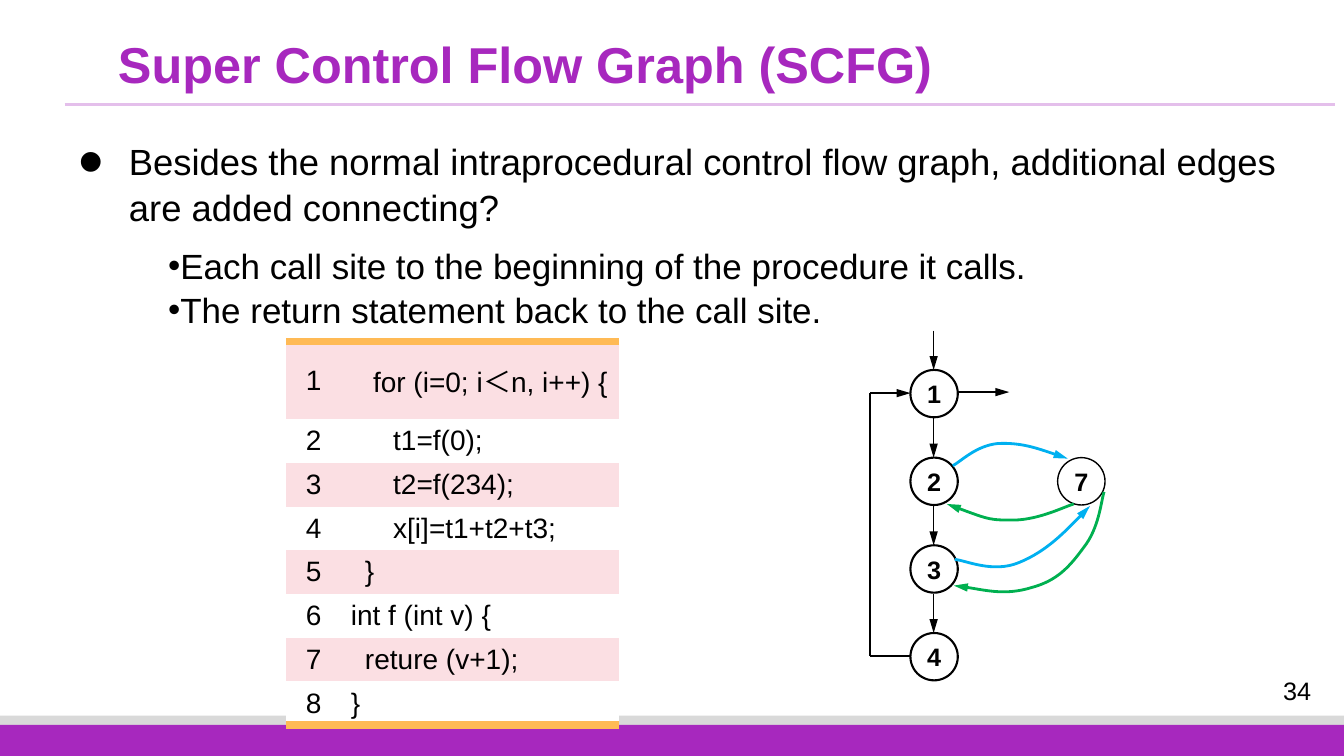
from lxml.etree import SubElement
from pptx import Presentation
from pptx.dml.color import RGBColor
from pptx.enum.shapes import MSO_CONNECTOR, MSO_SHAPE
from pptx.enum.text import MSO_ANCHOR, MSO_AUTO_SIZE, PP_ALIGN
from pptx.oxml.ns import qn
from pptx.util import Pt

PX = 9144  # EMU per px, 100 px to the inch
FONT = "Arial"
BLACK, WHITE, PURPLE, LILAC, GREY = "000000", "FFFFFF", "A728BE", "E4BFEB", "D9D9D9"
PINK, ORANGE, BLUE, GREEN = "FBDFE3", "FFBA55", "00B0F0", "00B050"

TITLE = "Super Control Flow Graph (SCFG)"
PAGE = "34"
# text, size, left margin, first-line indent, space after, bullet percent
POINTS = [
    ("Besides the normal intraprocedural control flow graph, additional edges "
     "are added connecting?", 26, 50, -50, 10, 200),
    ("Each call site to the beginning of the procedure it calls.", 25, 50, 39, 0, 100),
    ("The return statement back to the call site.", 25, 50, 39, 0, 100),
]
# code line, first-line indent
CODE = [
    ("for (i=0; i＜n, i++) {", 22), ("t1=f(0);", 42), ("t2=f(234);", 42),
    ("x[i]=t1+t2+t3;", 42), ("}", 14), ("int f (int v) {", 0),
    ("reture (v+1);", 14), ("}", 0),
]
CODE_COLUMNS = (54, 276)
NODE, NODE_LEFT, NODE_TOP, NODE_PITCH, ARROW = 47, 903, 367, 87, 39
LOOP_X = 863
# colour, start point, then control, control, end for each curve piece
CALL_EDGES = [
    (BLUE, [(945, 462), (953, 458), (968, 442), (990, 440),
            (1013, 439), (1036, 447), (1059, 455)]),
    (GREEN, [(1065, 500), (1055, 503), (1032, 515), (1007, 516),
             (982, 516), (982, 516), (939, 500)]),
    (BLUE, [(947, 555), (958, 556), (985, 569), (1011, 558),
            (1038, 547), (1067, 517), (1081, 502)]),
    (GREEN, [(1095, 488), (1092, 498), (1090, 524), (1075, 543),
             (1061, 562), (1049, 576), (1023, 583),
             (997, 591), (965, 583), (946, 581)]),
]


def px(*lengths):
    return [n * PX for n in lengths]


def rgb(color):
    return RGBColor.from_string(color)


def write(paragraph, text, size, color=BLACK, bold=False):
    run = paragraph.add_run()
    run.text = text
    font = run.font
    font.name, font.size, font.bold = FONT, Pt(size), bold
    font.color.rgb = rgb(color)


def indent(paragraph, first, left=0):
    props = paragraph._p.get_or_add_pPr()
    props.set("marL", str(left * PX))
    props.set("indent", str(first * PX))
    return props


def stroke(shape, color, width, arrow=False):
    shape.line.color.rgb = rgb(color)
    shape.line.width = Pt(width)
    if arrow:
        SubElement(shape.line._get_or_add_ln(), qn("a:tailEnd"),
                   type="triangle", w="med", len="lg")


def add_line(x1, y1, x2, y2, color=BLACK, width=1, arrow=False):
    line = slide.shapes.add_connector(MSO_CONNECTOR.STRAIGHT, *px(x1, y1, x2, y2))
    stroke(line, color, width, arrow)
    SubElement(line._element.spPr, qn("a:effectLst"))


def add_solid(kind, box, color):
    shape = slide.shapes.add_shape(kind, *px(*box))
    shape.shadow.inherit = False
    shape.fill.solid()
    shape.fill.fore_color.rgb = rgb(color)
    return shape


def add_node(label, left, top, width):
    node = add_solid(MSO_SHAPE.OVAL, (left, top, NODE, NODE), WHITE)
    stroke(node, BLACK, width)
    frame = node.text_frame
    frame.margin_left = frame.margin_right = frame.margin_top = frame.margin_bottom = 0
    frame.word_wrap = False
    frame.vertical_anchor = MSO_ANCHOR.MIDDLE
    frame.paragraphs[0].alignment = PP_ALIGN.CENTER
    write(frame.paragraphs[0], label, 18, bold=True)


def add_curve(color, points):
    builder = slide.shapes.build_freeform(*points[0], scale=PX)
    builder.add_line_segments(points[1:], close=False)
    curve = builder.convert_to_shape()
    curve.shadow.inherit = False
    curve.fill.background()
    stroke(curve, color, 2, arrow=True)
    # Each three straight segments become one cubic piece
    outline = next(curve._element.iter(qn("a:path")))
    segments = outline.findall(qn("a:lnTo"))
    for start in range(0, len(segments), 3):
        piece = SubElement(outline, qn("a:cubicBezTo"))
        for segment in segments[start:start + 3]:
            piece.append(segment[0])
            outline.remove(segment)


def add_text_box(*box):
    frame = slide.shapes.add_textbox(*px(*box)).text_frame
    frame.word_wrap = True
    return frame


deck = Presentation()
deck.slide_width, deck.slide_height = px(1333, 750)
slide = deck.slides.add_slide(deck.slide_layouts[5])

# Title
title = slide.shapes.title
title.left, title.top, title.width, title.height = px(107, 35, 1137, 48)
heading = title.text_frame
heading.auto_size = MSO_AUTO_SIZE.NONE
heading.vertical_anchor = MSO_ANCHOR.TOP
heading.paragraphs[0].alignment = PP_ALIGN.LEFT
heading.paragraphs[0].line_spacing = 0.9
write(heading.paragraphs[0], TITLE, 36, PURPLE, True)

# Footer bars, title rule and page number
for top, height, color in [(710, 40, GREY), (719, 31, PURPLE)]:
    add_solid(MSO_SHAPE.RECTANGLE, (0, top, 1333, height), color).line.fill.background()
add_line(64, 104, 1324, 104, LILAC, 2.25)
page = add_text_box(1241, 665, 91, 39)
page.vertical_anchor = MSO_ANCHOR.MIDDLE
page.paragraphs[0].alignment = PP_ALIGN.CENTER
write(page.paragraphs[0], PAGE, 18)

# Bullet points
body = add_text_box(68, 131, 1211, 189)
for i, (text, size, left, first, after, percent) in enumerate(POINTS):
    point = body.add_paragraph() if i else body.paragraphs[0]
    props = indent(point, first, left)
    point.line_spacing = 1.05
    point.space_after = Pt(after)
    SubElement(props, qn("a:buSzPct"), val=str(percent * 1000))
    SubElement(props, qn("a:buFont"), typeface=FONT)
    SubElement(props, qn("a:buChar"), char="•")
    write(point, text, size)

# Code table
listing = slide.shapes.add_table(len(CODE), 2, *px(284, 339, 330, 347)).table
listing.first_row = listing.horz_banding = False
listing._tbl.tblPr.find(qn("a:tableStyleId")).text = "{2D5ABB26-0587-4C30-8999-92F81FD0307C}"
for column, width in zip(listing.columns, CODE_COLUMNS):
    column.width = width * PX
edges = {0: "a:lnT", len(CODE) - 1: "a:lnB"}
for row, (code, first) in enumerate(CODE):
    for col, text in enumerate((str(row + 1), code)):
        cell = listing.cell(row, col)
        cell.vertical_anchor = MSO_ANCHOR.MIDDLE
        cell.fill.solid()
        cell.fill.fore_color.rgb = rgb(WHITE if row % 2 else PINK)
        paragraph = cell.text_frame.paragraphs[0]
        if col:
            indent(paragraph, first)
        else:
            paragraph.alignment = PP_ALIGN.CENTER
        write(paragraph, text, 20)
        if row in edges:
            props = cell._tc.get_or_add_tcPr()
            border = SubElement(props, qn(edges[row]), w=str(Pt(6)))
            SubElement(SubElement(border, qn("a:solidFill")), qn("a:srgbClr"), val=ORANGE)
            props.insert(0, border)

# Flow graph: nodes with the arrow into each, loop back, exit
center = NODE_LEFT + NODE // 2
for i in range(4):
    top = NODE_TOP + i * NODE_PITCH
    add_node(str(i + 1), NODE_LEFT, top, 1.5)
    add_line(center, top - ARROW, center, top, arrow=True)
add_node("7", 1049, NODE_TOP + NODE_PITCH, 1)
loop_top, loop_bottom = (NODE_TOP + NODE // 2 + n * NODE_PITCH for n in (0, 3))
add_line(NODE_LEFT, loop_bottom, LOOP_X, loop_bottom)
add_line(LOOP_X, loop_top, LOOP_X, loop_bottom)
add_line(LOOP_X, loop_top, NODE_LEFT, loop_top, arrow=True)
add_line(NODE_LEFT + NODE, 389, 1001, 389, arrow=True)

# Call and return edges
for color, points in CALL_EDGES:
    add_curve(color, points)

deck.save("out.pptx")
